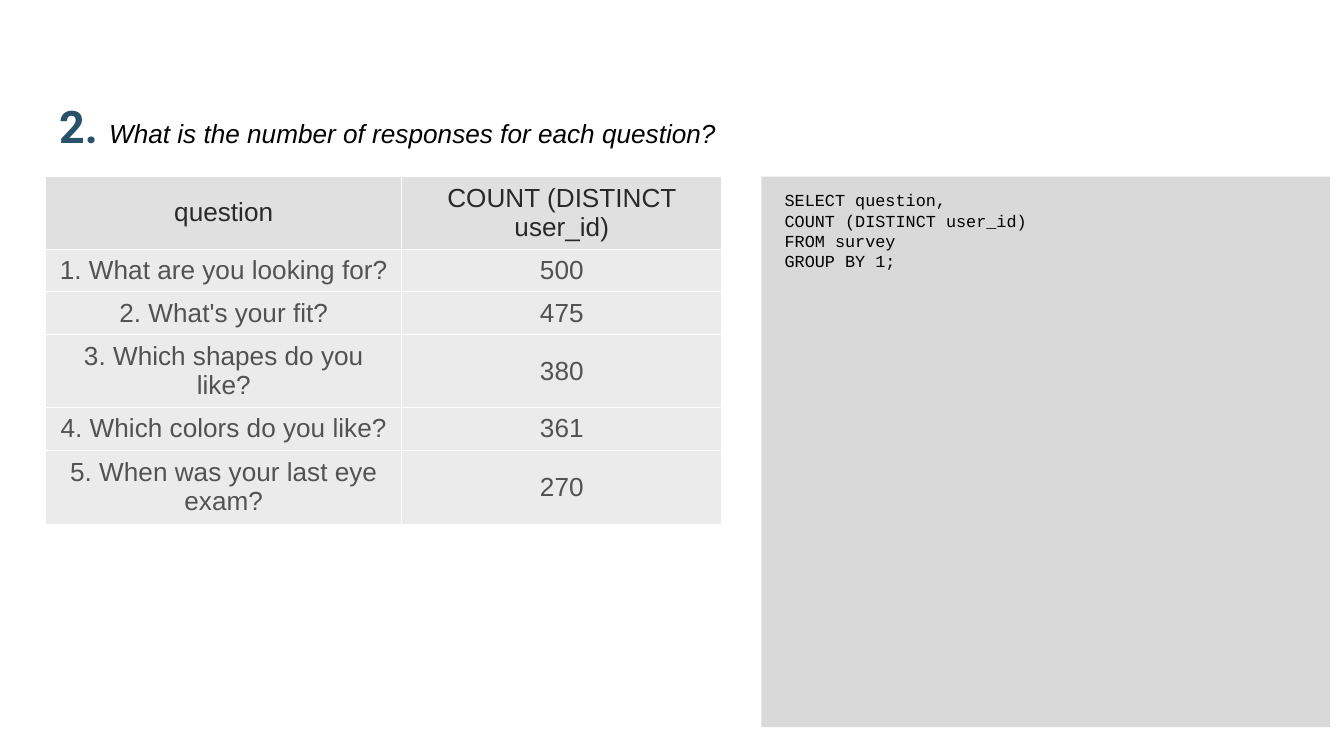
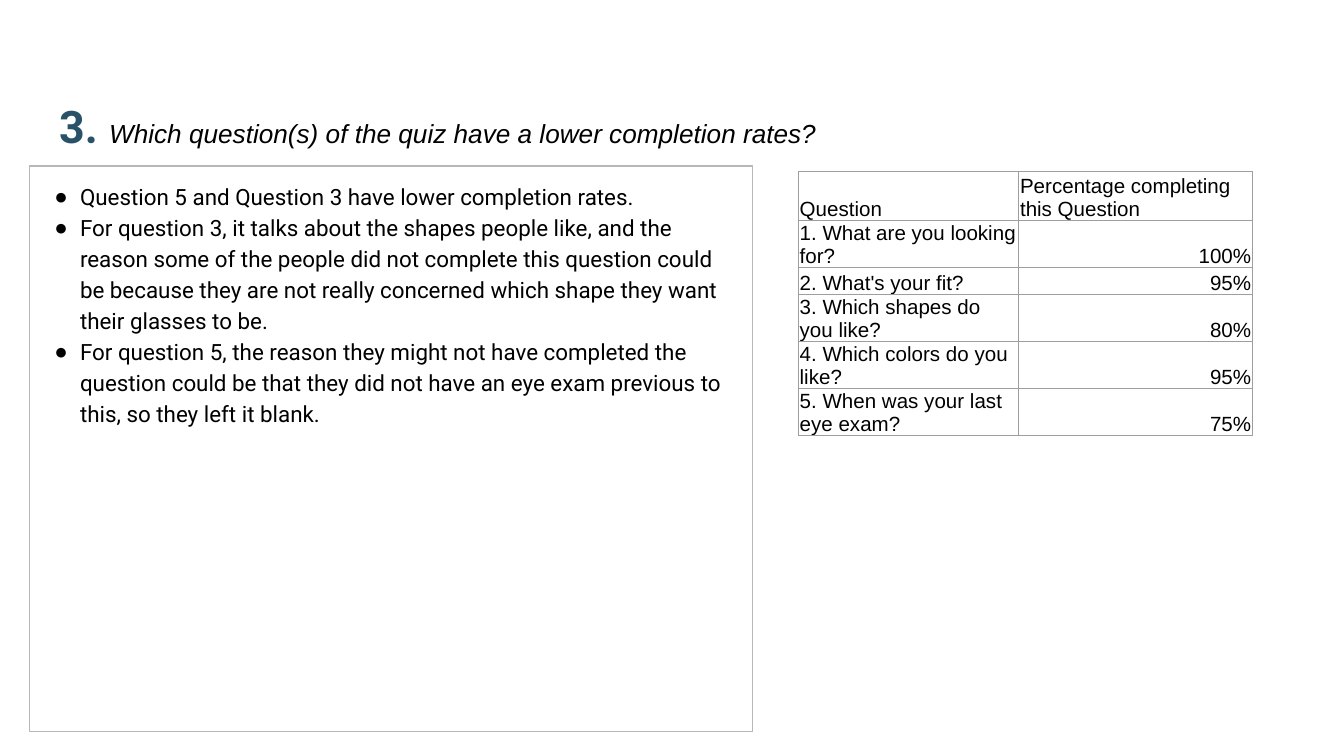
from dataclasses import dataclass

import pptx
import pptx.dml.color
import pptx.enum.shapes
import pptx.enum.text
import pptx.oxml
import pptx.oxml.ns
import pptx.util

RGBColor = pptx.dml.color.RGBColor
Align = pptx.enum.text.PP_ALIGN
Anchor = pptx.enum.text.MSO_ANCHOR

# Shared scale, colours and fonts
EMU_PER_PX = 4572  # 200 px to the inch
SLIDE_WIDTH, SLIDE_HEIGHT = 2000, 1125

WHITE = RGBColor(0xFF, 0xFF, 0xFF)
BLACK = RGBColor(0x00, 0x00, 0x00)
TEAL = RGBColor(0x29, 0x52, 0x69)
CODE_GRAY = RGBColor(0xD9, 0xD9, 0xD9)
FRAME_GRAY = RGBColor(0xB7, 0xB7, 0xB7)
GRID_GRAY = RGBColor(0x9E, 0x9E, 0x9E)
HEADER_FILL = RGBColor(0xE0, 0xE0, 0xE0)
HEADER_TEXT = RGBColor(0x29, 0x29, 0x29)
ROW_FILL = RGBColor(0xEB, 0xEB, 0xEB)
ROW_TEXT = RGBColor(0x52, 0x52, 0x52)

SANS, HEADING, MONO = "Arial", "Roboto", "Courier New"


@dataclass(frozen=True)
class Box:
    left: int
    top: int
    width: int
    height: int

    def emu(self) -> tuple[int, int, int, int]:
        return px(self.left), px(self.top), px(self.width), px(self.height)


@dataclass(frozen=True)
class TableStyle:
    size: int
    header_text: RGBColor
    row_text: RGBColor
    header_fill: RGBColor | None
    row_fill: RGBColor | None
    border: RGBColor
    border_width: float
    anchor: Anchor
    header_align: Align
    column_aligns: tuple[Align, Align]
    margins: tuple[int, int, int, int]


TITLE_BOX = Box(68, 63, 1864, 184)
INSETS = (20, 20, 20, 20)

SHADED = TableStyle(14, HEADER_TEXT, ROW_TEXT, HEADER_FILL, ROW_FILL, WHITE, 0.5,
                    Anchor.MIDDLE, Align.CENTER, (Align.CENTER, Align.CENTER),
                    (20, 10, 20, 10))
GRID = TableStyle(11, BLACK, BLACK, None, None, GRID_GRAY, 0.75,
                  Anchor.BOTTOM, Align.LEFT, (Align.LEFT, Align.RIGHT),
                  (2, 2, 2, 0))

# Slide content
QUESTIONS = [
    "1. What are you looking for?",
    "2. What's your fit?",
    "3. Which shapes do you like?",
    "4. Which colors do you like?",
    "5. When was your last eye exam?",
]
RESPONSES = ["500", "475", "380", "361", "270"]
COMPLETION = ["100%", "95%", "80%", "95%", "75%"]
QUERY = [
    " SELECT question,",
    " COUNT (DISTINCT user_id)",
    " FROM survey",
    " GROUP BY 1;",
]
FINDINGS = [
    "Question 5 and Question 3 have lower completion rates.",
    "For question 3, it talks about the shapes people like, and the reason some of "
    "the people did not complete this question could be because they are not really "
    "concerned which shape they want their glasses to be.",
    "For question 5, the reason they might not have completed the question could be "
    "that they did not have an eye exam previous to this, so they left it blank.",
]


def px(length: int) -> int:
    return pptx.util.Emu(length * EMU_PER_PX)


def style_font(font, name: str, size: int, color: RGBColor,
               bold: bool = False, italic: bool = False) -> None:
    font.name, font.size = name, pptx.util.Pt(size)
    font.bold, font.italic = bold, italic
    font.color.rgb = color


def place(shape, box: Box) -> None:
    shape.left, shape.top, shape.width, shape.height = box.emu()


def set_margins(target, margins: tuple[int, int, int, int]) -> None:
    """Works for text frames and for table cells."""
    (target.margin_left, target.margin_top,
     target.margin_right, target.margin_bottom) = map(px, margins)


def set_frame(frame, anchor: Anchor, margins: tuple[int, int, int, int]) -> None:
    frame.word_wrap = True
    frame.auto_size = pptx.enum.text.MSO_AUTO_SIZE.NONE
    frame.vertical_anchor = anchor
    set_margins(frame, margins)


def add_title(slide, number: str, question: str) -> None:
    title = slide.shapes.title
    place(title, TITLE_BOX)
    set_frame(title.text_frame, Anchor.BOTTOM, INSETS)
    paragraph = title.text_frame.paragraphs[0]
    paragraph.alignment = Align.LEFT
    number_run, question_run = paragraph.add_run(), paragraph.add_run()
    number_run.text, question_run.text = number + " ", question
    style_font(number_run.font, HEADING, 24, TEAL, bold=True)
    style_font(question_run.font, SANS, 14, BLACK, italic=True)


def add_code(slide, box: Box, lines: list[str]) -> None:
    panel = slide.shapes.add_shape(
        pptx.enum.shapes.MSO_SHAPE.RECTANGLE, *box.emu())
    panel.shadow.inherit = False
    panel.fill.solid()
    panel.fill.fore_color.rgb = CODE_GRAY
    panel.line.fill.background()
    set_frame(panel.text_frame, Anchor.TOP, INSETS)
    panel.text_frame.text = "\n".join(lines)
    for paragraph in panel.text_frame.paragraphs:
        paragraph.alignment = Align.LEFT
        for run in paragraph.runs:
            style_font(run.font, MONO, 9, BLACK)


def add_bullet(paragraph, indent: int) -> None:
    properties = paragraph._p.get_or_add_pPr()
    properties.set("marL", str(px(indent)))
    properties.set("indent", str(px(-indent)))
    namespace = pptx.oxml.ns.nsdecls("a")
    for xml in (
        f'<a:buClr {namespace}><a:srgbClr val="{BLACK}"/></a:buClr>',
        f'<a:buFont {namespace} typeface="{SANS}"/>',
        f'<a:buChar {namespace} char="●"/>',
    ):
        properties.append(pptx.oxml.parse_xml(xml))


def fill_body(slide, box: Box, items: list[str]) -> None:
    body = slide.placeholders[1]
    place(body, box)
    body.line.color.rgb = FRAME_GRAY
    body.line.width = pptx.util.Pt(0.75)
    set_frame(body.text_frame, Anchor.TOP, (37, 20, 20, 20))
    body.text_frame.text = "\n".join(items)
    for paragraph in body.text_frame.paragraphs:
        add_bullet(paragraph, 38)
        paragraph.alignment = Align.LEFT
        paragraph.line_spacing = 1.15
        paragraph.space_before = pptx.util.Pt(0)
        for run in paragraph.runs:
            style_font(run.font, HEADING, 12, BLACK)


def set_borders(cell, color: RGBColor, width: float) -> None:
    properties = cell._tc.get_or_add_tcPr()
    for side in ("lnL", "lnR", "lnT", "lnB"):
        properties.append(pptx.oxml.parse_xml(
            f'<a:{side} {pptx.oxml.ns.nsdecls("a")} w="{pptx.util.Pt(width)}">'
            f'<a:solidFill><a:srgbClr val="{color}"/></a:solidFill></a:{side}>'))


def style_cell(cell, text: str, style: TableStyle, header: bool, column: int) -> None:
    cell.text_frame.text = text
    cell.vertical_anchor = style.anchor
    set_margins(cell, style.margins)
    set_borders(cell, style.border, style.border_width)
    fill = style.header_fill if header else style.row_fill
    if fill is None:
        cell.fill.background()
    else:
        cell.fill.solid()
        cell.fill.fore_color.rgb = fill
    paragraph = cell.text_frame.paragraphs[0]
    paragraph.alignment = style.header_align if header else style.column_aligns[column]
    color = style.header_text if header else style.row_text
    style_font(paragraph.runs[0].font, SANS, style.size, color)


def add_table(slide, left: int, top: int, widths: list[int], heights: list[int],
              rows: list[tuple[str, str]], style: TableStyle) -> None:
    box = Box(left, top, sum(widths), sum(heights))
    table = slide.shapes.add_table(len(rows), len(widths), *box.emu()).table
    table.first_row = table.horz_banding = False
    for column, width in zip(table.columns, widths):
        column.width = px(width)
    for row, height in zip(table.rows, heights):
        row.height = px(height)
    for row_index, values in enumerate(rows):
        for column_index, value in enumerate(values):
            style_cell(table.cell(row_index, column_index), value, style,
                       row_index == 0, column_index)


def build_responses(presentation) -> None:
    slide = presentation.slides.add_slide(presentation.slide_layouts[5])
    add_title(slide, "2.", "What is the number of responses for each question?")
    add_code(slide, Box(1133, 263, 846, 819), QUERY)
    rows = [("question", "COUNT (DISTINCT user_id)"), *zip(QUESTIONS, RESPONSES)]
    add_table(slide, 68, 263, [530, 476], [64] * 5 + [110], rows, SHADED)


def build_completion(presentation) -> None:
    slide = presentation.slides.add_slide(presentation.slide_layouts[1])
    add_title(slide, "3.", "Which question(s) of the quiz have a lower completion rates?")
    fill_body(slide, Box(44, 247, 1076, 842), FINDINGS)
    rows = [("Question", "Percentage completing this Question"),
            *zip(QUESTIONS, COMPLETION)]
    add_table(slide, 1188, 255, [328, 348], [73] + [40] * 5, rows, GRID)


def main() -> None:
    presentation = pptx.Presentation()
    presentation.slide_width = px(SLIDE_WIDTH)
    presentation.slide_height = px(SLIDE_HEIGHT)
    build_responses(presentation)
    build_completion(presentation)
    presentation.save("out.pptx")


if __name__ == "__main__":
    main()
